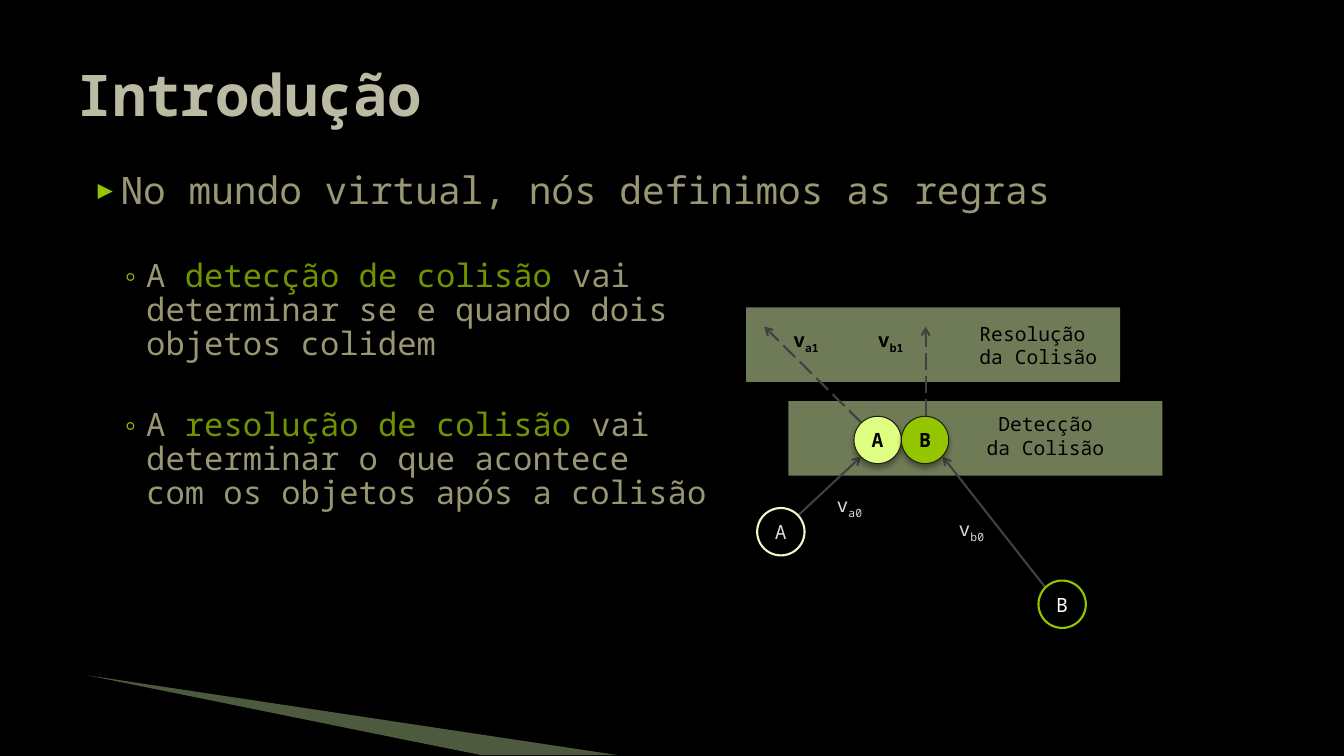
from lxml import etree
from pptx import Presentation
from pptx import util as u
from pptx.dml.color import RGBColor
from pptx.enum import dml, shapes, text
from pptx.oxml.ns import qn

MUTED, LIME, DEEP = "999773", "94C600", "6F9400"
BLACK, PALE, GREY = "000000", "D9D9D9", "404040"


def rgb(code):
    return RGBColor.from_string(code)


def node(parent, tag, **attrs):
    """Append a DrawingML element and return it."""
    child = etree.SubElement(parent, qn("a:" + tag))
    for key, value in attrs.items():
        child.set(key, str(value))
    return child


class Page:
    font = "Noto Sans Mono"

    def __init__(self, deck):
        self.slide = deck.slides.add_slide(deck.slide_layouts[1])
        self.items = self.slide.shapes
        fill = self.slide.background.fill
        fill.solid()
        fill.fore_color.rgb = rgb(BLACK)

    def place(self, shape, left, top, width, height):
        shape.left, shape.top = u.Inches(left), u.Inches(top)
        shape.width, shape.height = u.Inches(width), u.Inches(height)

    def say(self, para, words, size, color, bold=False, base=0):
        """Add runs to a paragraph, with a line break at each newline."""
        for i, line in enumerate(words.split("\n")):
            if i:
                para.add_line_break()
            run = para.add_run()
            run.text = line
            run.font.name, run.font.size = self.font, u.Pt(size)
            run.font.bold = bold
            run.font.color.rgb = rgb(color)
            if base:
                run.font._element.set("baseline", str(base * 1000))

    def title(self, words):
        shape = self.items.title
        self.place(shape, 0.67, 0.3, 12, 1.25)
        frame = shape.text_frame
        frame.auto_size = text.MSO_AUTO_SIZE.NONE
        frame.vertical_anchor = text.MSO_ANCHOR.MIDDLE
        para = frame.paragraphs[0]
        para.alignment = text.PP_ALIGN.LEFT
        self.say(para, words, 41, "BBBAA2", True)

    def bullets(self, rows):
        shape = self.slide.placeholders[1]
        self.place(shape, 0.67, 1.66, 12, 5.32)
        frame = shape.text_frame
        frame.auto_size = text.MSO_AUTO_SIZE.NONE
        styles = [("▶", 68, 27, 0.4, 0.28), ("◦", 100, 23, 0.68, 0.25)]
        for i, (level, runs) in enumerate(rows):
            mark, scale, size, left, hang = styles[level]
            para = frame.add_paragraph() if i else frame.paragraphs[0]
            para.level = level
            props = para._p.get_or_add_pPr()
            props.set("marL", str(u.Inches(left)))
            props.set("indent", str(-u.Inches(hang)))
            node(node(props, "buClr"), "srgbClr", val=LIME)
            node(props, "buSzPct", val=scale * 1000)
            node(props, "buFont", typeface=self.font)
            node(props, "buChar", char=mark)
            para.line_spacing = 0.88
            para.space_before = u.Pt(34 if i else 0)
            for words, color in runs:
                self.say(para, words, size, color)

    def paint(self, shape, fill=None, alpha=100, line=None, width=1.5):
        shape.shadow.inherit = False
        if fill:
            shape.fill.solid()
            shape.fill.fore_color.rgb = rgb(fill)
            if alpha < 100:
                color = shape._element.spPr.find(qn("a:solidFill"))[0]
                node(color, "alpha", val=alpha * 1000)
        else:
            shape.fill.background()
        if line:
            shape.line.color.rgb = rgb(line)
            shape.line.width = u.Pt(width)
        else:
            shape.line.fill.background()

    def wedge(self, points, fill, alpha=100):
        spots = [(u.Inches(x), u.Inches(y)) for x, y in points]
        build = self.items.build_freeform(*spots[0], scale=1)
        build.add_line_segments(spots[1:], close=True)
        self.paint(build.convert_to_shape(), fill, alpha)

    def bar(self, left, top):
        shape = self.items.add_shape(
            shapes.MSO_SHAPE.RECTANGLE, u.Inches(left), u.Inches(top),
            u.Inches(3.71), u.Inches(0.74))
        self.paint(shape, "DFF7AE", 50)

    def ball(self, left, top, name, color, line, fill=None, width=1.5):
        side = u.Inches(0.47)
        shape = self.items.add_shape(
            shapes.MSO_SHAPE.OVAL, u.Inches(left), u.Inches(top), side, side)
        self.paint(shape, fill, line=line, width=width)
        if fill:
            effect = shape._element.spPr.find(qn("a:effectLst"))
            shade = node(effect, "outerShdw", blurRad=u.Pt(4), dist=u.Pt(3),
                         dir=90 * 60000, rotWithShape=0)
            node(node(shade, "srgbClr", val=BLACK), "alpha", val=35000)
        frame = shape.text_frame
        frame.margin_left = frame.margin_right = 0
        frame.margin_top = frame.margin_bottom = 0
        frame.vertical_anchor = text.MSO_ANCHOR.MIDDLE
        para = frame.paragraphs[0]
        para.alignment = text.PP_ALIGN.CENTER
        self.say(para, name, 14, color, bold=bool(fill))

    def arrow(self, start, end, dash=False):
        ends = [u.Inches(v) for v in start + end]
        link = self.items.add_connector(shapes.MSO_CONNECTOR.STRAIGHT, *ends)
        link.line.color.rgb = rgb(GREY)
        link.line.width = u.Pt(1.5)
        if dash:
            link.line.dash_style = dml.MSO_LINE.LONG_DASH
        props = link._element.spPr
        node(props.find(qn("a:ln")), "tailEnd", type="arrow")
        node(props, "effectLst")

    def box(self, left, top, width, height, wrap):
        shape = self.items.add_textbox(0, 0, 0, 0)
        self.place(shape, left, top, width, height)
        shape.text_frame.word_wrap = wrap
        return shape.text_frame.paragraphs[0]

    def label(self, left, top, words):
        para = self.box(left, top, 1.5, 0.57, True)
        para.alignment = text.PP_ALIGN.CENTER
        self.say(para, words, 14, BLACK)

    def speed(self, left, top, sub, color, bold=False):
        para = self.box(left, top, 0.47, 0.34, False)
        self.say(para, "v", 14, color, bold)
        self.say(para, sub, 14, color, bold, -25)


def main():
    deck = Presentation()
    deck.slide_width, deck.slide_height = u.Inches(13.33), u.Inches(7.5)
    page = Page(deck)

    # Corner wedges
    page.wedge([(0.87, 6.7), (6.12, 7.49), (4.76, 7.49)], "C3E19D", 40)
    page.wedge([(0.84, 6.72), (4.76, 7.49), (3.94, 7.49)], BLACK)

    # Title and list
    page.title("Introdução")
    page.bullets([
        (0, [("No mundo virtual, nós definimos as regras", MUTED)]),
        (1, [("A ", MUTED), ("detecção de colisão ", DEEP),
             ("vai \ndeterminar se e quando dois \nobjetos colidem", MUTED)]),
        (1, [("A ", MUTED), ("resolução de colisão ", DEEP),
             ("vai \ndeterminar o que acontece\n"
              "com os objetos após a colisão", MUTED)]),
    ])

    # Phase bars
    page.bar(7.4, 3.05)
    page.bar(7.82, 3.98)

    # Motion before the collision
    page.arrow((7.92, 5.11), (8.54, 4.53))
    page.arrow((10.37, 5.83), (9.35, 4.53))
    page.ball(7.51, 5.04, "A", PALE, "EAFAC9")
    page.ball(10.3, 5.76, "B", "FFFFFF", LIME)

    # Contact and motion after it
    page.ball(8.47, 4.13, "A", BLACK, "1F1E16", "DFFF82", 0.75)
    page.ball(8.94, 4.13, "B", BLACK, "1F1E16", LIME, 0.75)
    page.arrow((8.54, 4.19), (7.58, 3.24), dash=True)
    page.arrow((9.18, 4.13), (9.18, 3.24), dash=True)

    # Labels
    page.label(9.62, 4.04, "Detecção\nda Colisão")
    page.label(9.55, 3.14, "Resolução \nda Colisão")
    page.speed(8.2, 4.84, "a0", PALE)
    page.speed(9.41, 5.08, "b0", PALE)
    page.speed(7.77, 3.2, "a1", BLACK, True)
    page.speed(8.61, 3.2, "b1", BLACK, True)

    deck.save("out.pptx")


if __name__ == "__main__":
    main()
